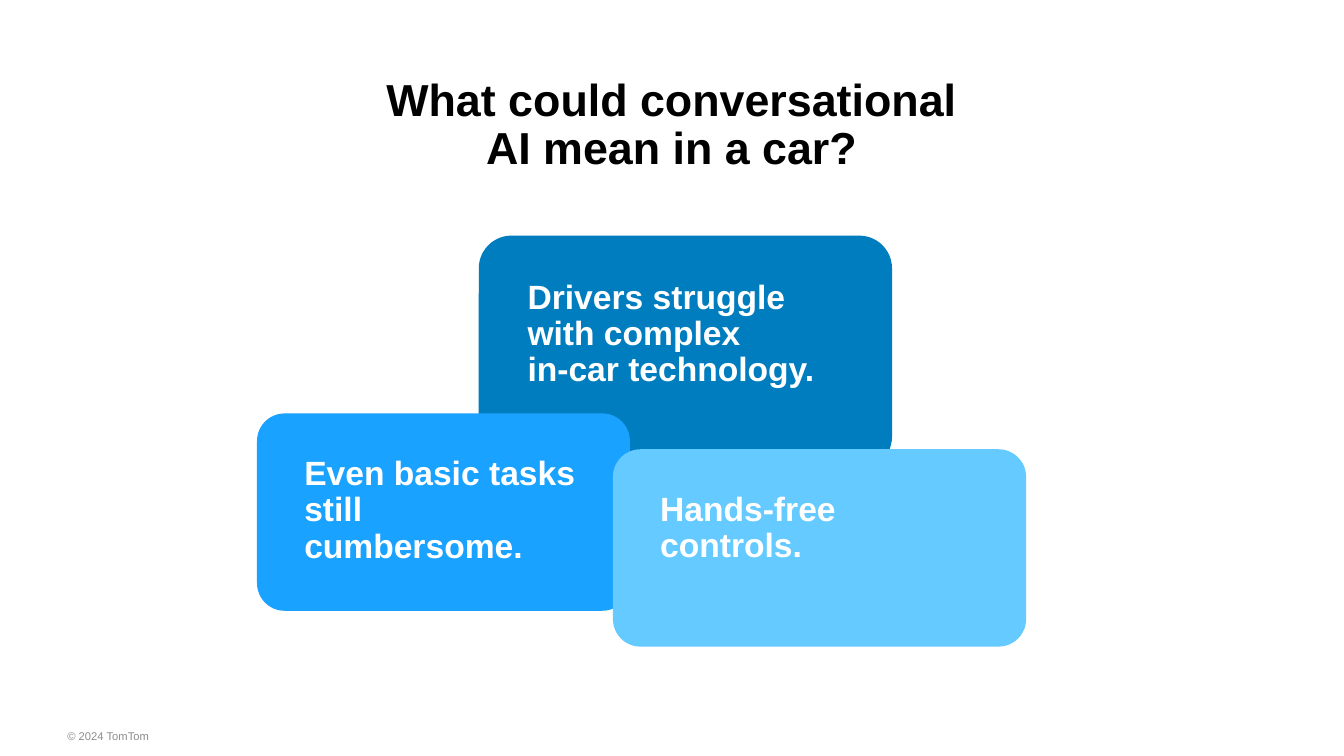
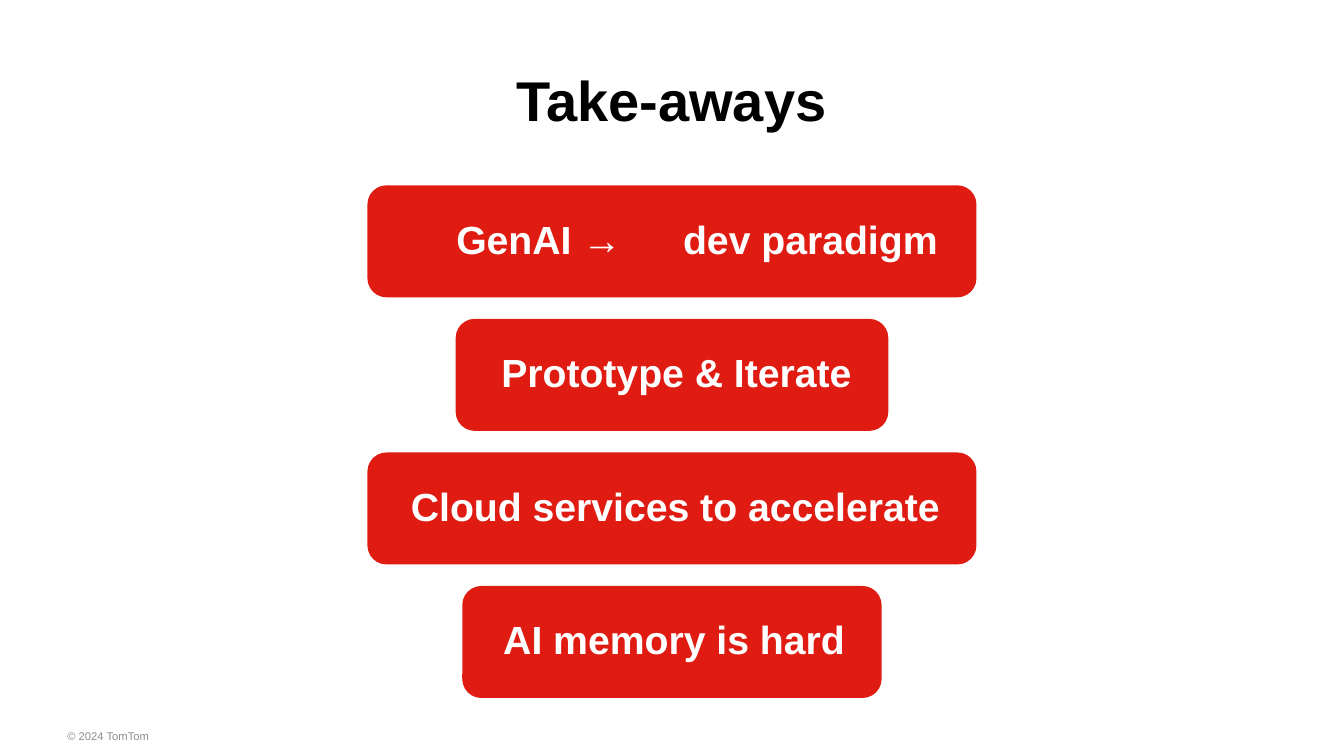
from pptx import Presentation
from pptx import util as u
from pptx.dml.color import RGBColor
from pptx.enum import shapes, text
from pptx.oxml import parse_xml
from pptx.oxml.ns import nsdecls

Pt = u.Pt

# Shared style
SLIDE_WIDTH, SLIDE_HEIGHT = 960, 540
FONT = "Arial"
LINE_SPACING = 0.9
BLACK = RGBColor(0x00, 0x00, 0x00)
WHITE = RGBColor(0xFF, 0xFF, 0xFF)
GREY = RGBColor(0x8C, 0x8C, 0x8C)
DEEP_BLUE = RGBColor(0x00, 0x7D, 0xBE)
BLUE = RGBColor(0x19, 0xA2, 0xFF)
LIGHT_BLUE = RGBColor(0x65, 0xCA, 0xFF)
RED = RGBColor(0xDF, 0x1B, 0x12)

ALIGN = text.PP_ALIGN
ANCHOR = text.MSO_ANCHOR


def set_frame(shape, insets, anchor):
    """Set wrapping, anchor and left, top, right, bottom insets."""
    frame = shape.text_frame
    frame.word_wrap = True
    frame.vertical_anchor = anchor
    (frame.margin_left, frame.margin_top,
     frame.margin_right, frame.margin_bottom) = map(Pt, insets)
    return frame.paragraphs[0]


def write(paragraph, content, size, color, bold=True, align=ALIGN.LEFT):
    """Write one run per line, with line breaks between them."""
    paragraph.alignment = align
    for index, line in enumerate(content.split("\n")):
        if index:
            paragraph.add_line_break()
        run = paragraph.add_run()
        run.text = line
        run.font.name = FONT
        run.font.size = Pt(size)
        run.font.bold = bold
        run.font.color.rgb = color


def add_tab_stop(paragraph, position):
    paragraph._p.get_or_add_pPr().append(parse_xml(
        f'<a:tabLst {nsdecls("a")}><a:tab pos="{Pt(position)}" algn="l"/></a:tabLst>'))


def add_title(slide, box, content, size):
    shape = slide.shapes.add_textbox(*map(Pt, box))
    paragraph = set_frame(shape, (0, 3.6, 0, 3.6), ANCHOR.TOP)
    paragraph.line_spacing = LINE_SPACING
    write(paragraph, content, size, BLACK, align=ALIGN.CENTER)


def add_footer(slide):
    shape = slide.shapes.add_textbox(Pt(41), Pt(511), Pt(324), Pt(29))
    paragraph = set_frame(shape, (7.2, 3.6, 7.2, 3.6), ANCHOR.MIDDLE)
    write(paragraph, "© 2024 TomTom", 8, GREY, bold=False)


def add_card(slide, box, fill, insets, anchor, corner):
    """Add a rounded card and return its paragraph."""
    shape = slide.shapes.add_shape(shapes.MSO_SHAPE.ROUNDED_RECTANGLE, *map(Pt, box))
    shape.adjustments[0] = corner
    shape.shadow.inherit = False
    shape.fill.solid()
    shape.fill.fore_color.rgb = fill
    shape.line.fill.background()
    paragraph = set_frame(shape, insets, anchor)
    paragraph.line_spacing = LINE_SPACING
    return paragraph


def add_idea_cards(slide, left, top):
    """Overlapping cards, placed from the corner of their group."""
    cards = [
        (158.4, 0, 295.2, 167, DEEP_BLUE,
         "Drivers struggle with complex\nin-car technology."),
        (0, 127, 266.4, 141, BLUE, "Even basic tasks still cumbersome."),
        (254.2, 152.6, 295.2, 141, LIGHT_BLUE, "Hands-free controls."),
    ]
    for x, y, width, height, fill, content in cards:
        paragraph = add_card(slide, (left + x, top + y, width, height), fill,
                             (28, 25, 28, 25), ANCHOR.TOP, 0.14)
        write(paragraph, content, 24, WHITE)


def add_takeaway_bars(slide, center, top):
    """Centred bars at an even pitch."""
    height, pitch = 80, 95.4
    bars = [
        (435, "GenAI →\tdev paradigm"),
        (309, "Prototype & Iterate"),
        (435, "Cloud services to accelerate"),
        (299.5, "AI memory is hard"),
    ]
    for row, (width, content) in enumerate(bars):
        tabbed = "\t" in content
        left_inset, right_inset = (59.5, 4) if tabbed else (22.3, 22.3)
        box = (center - width / 2, top + row * pitch, width, height)
        paragraph = add_card(slide, box, RED, (left_inset, 4.3, right_inset, 4.3),
                             ANCHOR.MIDDLE, 0.17)
        if tabbed:
            add_tab_stop(paragraph, 162)
        write(paragraph, content, 28, WHITE,
              align=ALIGN.LEFT if tabbed else ALIGN.RIGHT)


def build_ideas(slide):
    add_idea_cards(slide, 183.6, 168.3)
    add_title(slide, (262, 52, 435.6, 77), "What could conversational AI mean in a car?", 32)


def build_takeaways(slide):
    add_takeaway_bars(slide, SLIDE_WIDTH / 2, 132.4)
    add_title(slide, (40.3, 49, 878.4, 51), "Take-aways", 40)


def main():
    presentation = Presentation()
    presentation.slide_width = Pt(SLIDE_WIDTH)
    presentation.slide_height = Pt(SLIDE_HEIGHT)
    for build in (build_ideas, build_takeaways):
        slide = presentation.slides.add_slide(presentation.slide_layouts[6])
        build(slide)
        add_footer(slide)
    presentation.save("out.pptx")


if __name__ == "__main__":
    main()
